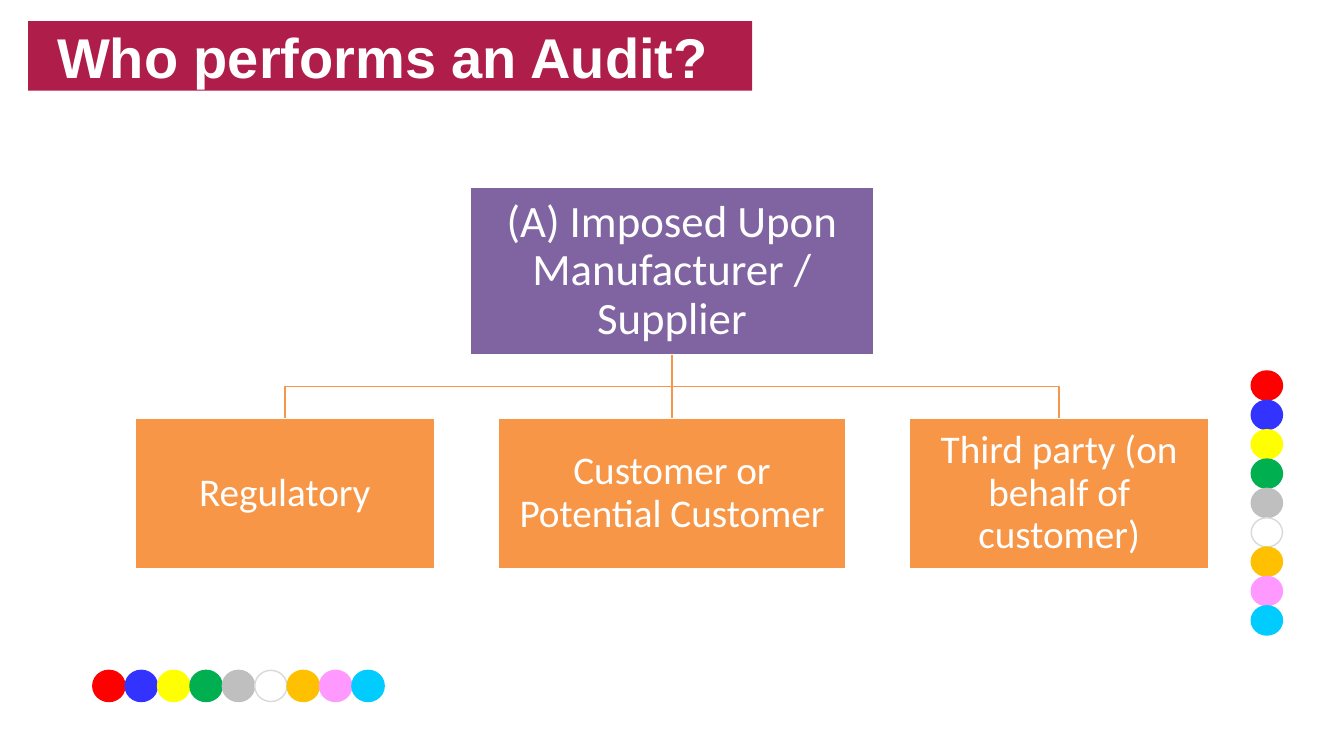
from dataclasses import dataclass
from typing import NamedTuple

import pptx
import pptx.dml.color
import pptx.enum.shapes
import pptx.enum.text
import pptx.util
from lxml import etree

SHAPE = pptx.enum.shapes.MSO_SHAPE
DRAWING = "http://schemas.openxmlformats.org/drawingml/2006/main"


@dataclass(frozen=True)
class Theme:
    banner: str = "AF1D4A"
    root: str = "8064A2"
    branch: str = "F79646"
    paper: str = "FFFFFF"
    white_disc_edge: str = "D9D9D9"
    discs: tuple = ("FF0000", "3333FF", "FFFF00", "00B050", "BFBFBF",
                    "FFFFFF", "FFC000", "FF99FF", "00CCFF")
    title_font: str = "Arial"
    body_font: str = "Calibri"
    title_size: int = 40
    root_size: int = 32
    branch_size: int = 28
    line_width: int = 1


class Box(NamedTuple):
    left: float
    top: float
    width: float
    height: float

    @property
    def center(self):
        return self.left + self.width / 2

    @property
    def bottom(self):
        return self.top + self.height


THEME = Theme()


def inches(*values):
    return [pptx.util.Inches(value) for value in values]


def color(name):
    return pptx.dml.color.RGBColor.from_string(name)


def set_line(item, name):
    item.line.color.rgb = color(name)
    item.line.width = pptx.util.Pt(THEME.line_width)


def add_filled(slide, kind, box, fill, edge=None):
    shape = slide.shapes.add_shape(kind, *inches(*box))
    shape.shadow.inherit = False
    shape.fill.solid()
    shape.fill.fore_color.rgb = color(fill)
    if edge:
        set_line(shape, edge)
    else:
        shape.line.fill.background()
    return shape


def write(shape, text, font, size, inset, bold=False, spacing=1.0):
    frame = shape.text_frame
    frame.word_wrap = True
    frame.vertical_anchor = pptx.enum.text.MSO_ANCHOR.MIDDLE
    frame.margin_left = frame.margin_right = pptx.util.Inches(inset)
    frame.margin_top = frame.margin_bottom = pptx.util.Inches(inset)
    para = frame.paragraphs[0]
    para.text = text
    para.alignment = pptx.enum.text.PP_ALIGN.CENTER
    para.line_spacing = spacing
    para.font.name = font
    para.font.size = pptx.util.Pt(size)
    para.font.bold = bold
    para.font.color.rgb = color(THEME.paper)


def add_disc_strip(slide, box, disc_width, disc_height):
    steps = len(THEME.discs) - 1
    step_x = (box.width - disc_width) / steps
    step_y = (box.height - disc_height) / steps
    for index, fill in enumerate(THEME.discs):
        disc = Box(box.left + index * step_x, box.top + index * step_y,
                   disc_width, disc_height)
        edge = THEME.white_disc_edge if fill == THEME.paper else fill
        add_filled(slide, SHAPE.FLOWCHART_CONNECTOR, disc, fill, edge)


def add_title(slide, box, text):
    banner = add_filled(slide, SHAPE.RECTANGLE, box, THEME.banner)
    write(banner, text, THEME.title_font, THEME.title_size, 0, bold=True)


def add_link(slide, parent, child):
    if abs(parent.center - child.center) < 0.01:
        link = slide.shapes.add_connector(
            pptx.enum.shapes.MSO_CONNECTOR.STRAIGHT,
            *inches(parent.center, parent.bottom, parent.center, child.top))
        etree.SubElement(link._element.spPr, f"{{{DRAWING}}}effectLst")
    else:
        middle = (parent.bottom + child.top) / 2
        builder = slide.shapes.build_freeform(*inches(parent.center, parent.bottom))
        corners = [(parent.center, middle), (child.center, middle),
                   (child.center, child.top)]
        builder.add_line_segments([inches(*corner) for corner in corners], close=False)
        link = builder.convert_to_shape()
        link.fill.background()
        link.shadow.inherit = False
    set_line(link, THEME.branch)


def add_node(slide, box, text, fill, size):
    node = add_filled(slide, SHAPE.RECTANGLE, box, fill, THEME.paper)
    write(node, text, THEME.body_font, size, 0.02, spacing=0.9)


def add_hierarchy(slide, box, root_text, branches):
    root_width, root_height, branch_height = 4, 1.66, 1.49
    root = Box(box.center - root_width / 2, box.top, root_width, root_height)
    gap = (box.width - sum(width for _, width in branches)) / (len(branches) - 1)
    children = []
    left = box.left
    for _, width in branches:
        children.append(Box(left, box.bottom - branch_height, width, branch_height))
        left += width + gap
    for child in children:
        add_link(slide, root, child)
    add_node(slide, root, root_text, THEME.root, THEME.root_size)
    for child, (text, _) in zip(children, branches):
        add_node(slide, child, text, THEME.branch, THEME.branch_size)


def main():
    deck = pptx.Presentation()
    deck.slide_width, deck.slide_height = inches(13.33, 7.5)
    slide = deck.slides.add_slide(deck.slide_layouts[6])
    add_disc_strip(slide, Box(12.41, 3.68, 0.31, 2.62), 0.31, 0.29)
    add_disc_strip(slide, Box(0.92, 6.65, 2.89, 0.31), 0.32, 0.31)
    add_title(slide, Box(0.28, 0.21, 7.18, 0.69), "Who performs an Audit? ")
    add_hierarchy(slide, Box(1.34, 1.86, 10.65, 3.78),
                  "(A) Imposed Upon Manufacturer / Supplier",
                  [("Regulatory", 2.97),
                   ("Customer or Potential Customer", 3.45),
                   ("Third party (on behalf of customer)", 2.97)])
    deck.save("out.pptx")


if __name__ == "__main__":
    main()
